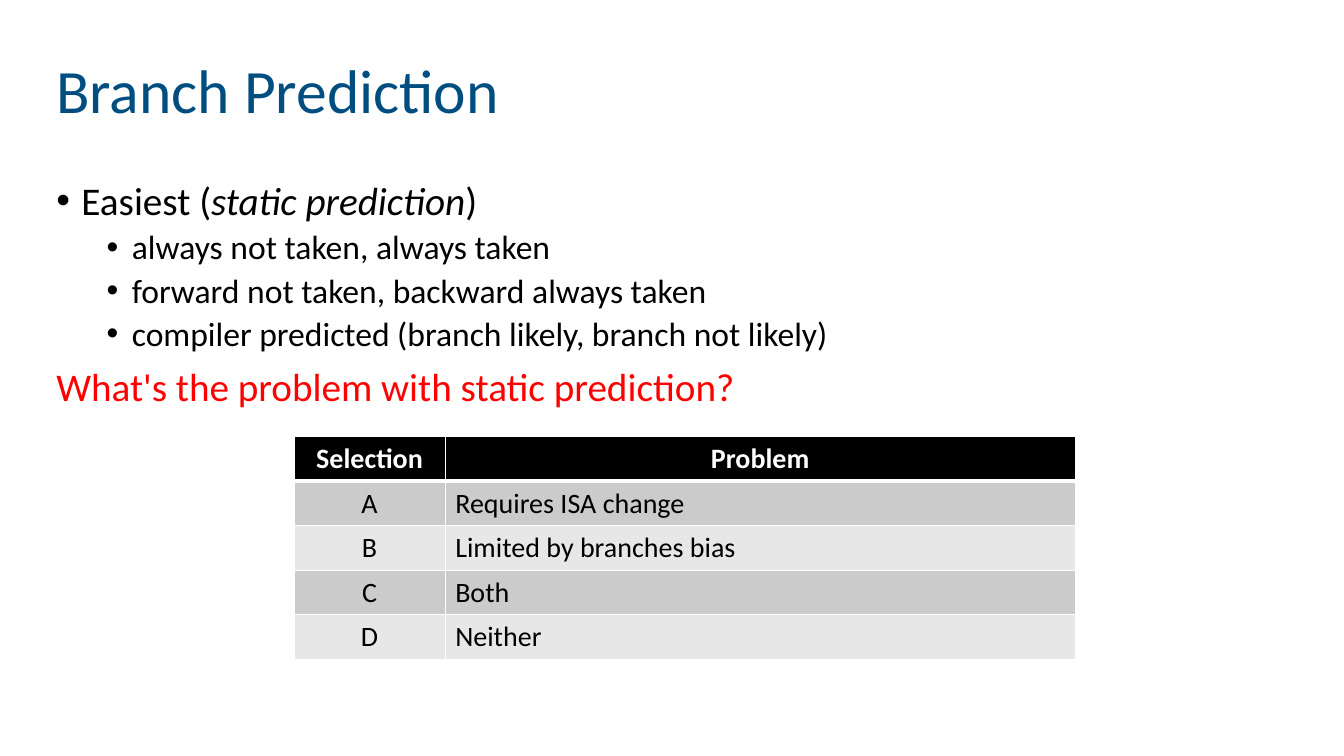
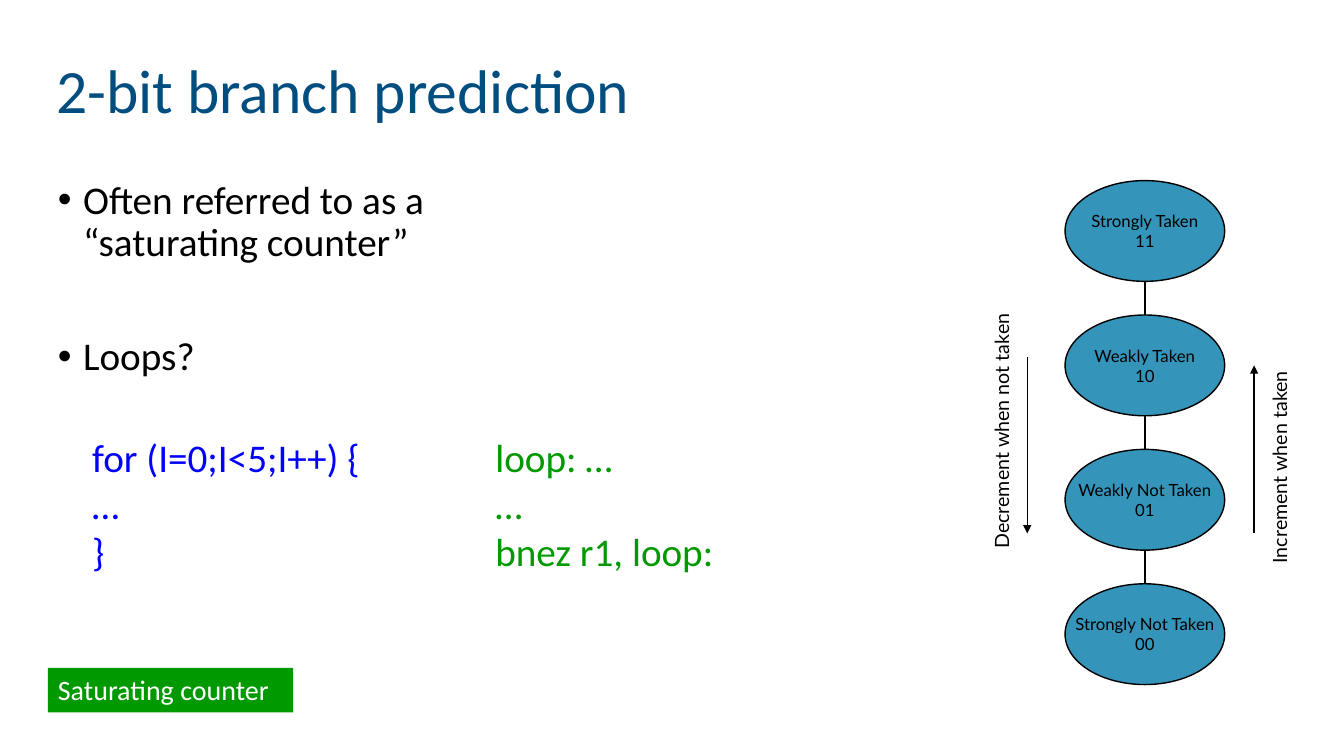
from dataclasses import dataclass

from lxml import etree
from pptx import Presentation
from pptx import util as u
from pptx.dml.color import RGBColor
from pptx.enum import dml, shapes, text
from pptx.oxml import ns

COLORS = {
    "title": "004D80", "ink": "000000", "paper": "FFFFFF", "question": "FF0000",
    "source": "0000FF", "assembly": "009900", "state": "3494BA",
    "odd_row": "CBCBCB", "even_row": "E7E7E7",
}
CELLS_PER_INCH = 12
COLUMNS, ROWS = 160, 90
BODY_FONT, DIAGRAM_FONT = "Calibri", "Lato"
LEFT, CENTER = text.PP_ALIGN.LEFT, text.PP_ALIGN.CENTER


@dataclass
class Box:
    """A region of the slide, in grid columns and rows."""
    left: float
    top: float
    width: float
    height: float

    def lengths(self):
        """Return left, top, width and height as slide lengths."""
        return [grid(n) for n in (self.left, self.top, self.width, self.height)]

    def inner(self, left, top, width, height):
        """Return a box placed relative to this one."""
        return Box(self.left + left, self.top + top, width, height)


def grid(count):
    """Turn a number of grid cells into a length."""
    return u.Inches(count / CELLS_PER_INCH)


def rgb(name):
    """Look up a named colour."""
    return RGBColor.from_string(COLORS[name])


def add_xml(parent, tag, **attributes):
    """Append a drawing element to a parent."""
    return etree.SubElement(parent, ns.qn(tag), {k: str(v) for k, v in attributes.items()})


def add_run(paragraph, words, size, color="ink", font=BODY_FONT, bold=False, italic=False):
    """Add one formatted run."""
    run = paragraph.add_run()
    run.text = words
    run.font.size = u.Pt(size)
    run.font.name = font
    run.font.bold = bold
    run.font.italic = italic
    run.font.color.rgb = rgb(color)


def paragraphs(frame, count):
    """Return the first paragraph and as many new ones as needed."""
    return [frame.paragraphs[0]] + [frame.add_paragraph() for _ in range(count - 1)]


def add_title(slide, words):
    """Fill the title placeholder in the shared style."""
    title = slide.shapes.title
    title.left, title.top, title.width, title.height = Box(5.5, 2.4, 151.5, 17.4).lengths()
    frame = title.text_frame
    frame.auto_size = text.MSO_AUTO_SIZE.NONE
    frame.vertical_anchor = text.MSO_ANCHOR.MIDDLE
    heading = frame.paragraphs[0]
    heading.alignment = LEFT
    heading.line_spacing = 0.9
    add_run(heading, words, 44, "title")


def style_item(item, level, bulleted, before):
    """Set spacing, indent and bullet of one list item."""
    item.level = level
    item.line_spacing = 0.9
    item.space_before = u.Pt(before)
    properties = item._p.get_or_add_pPr()
    indent = u.Inches(0.25) if bulleted else 0
    properties.set("marL", str(u.Inches(0.5 * level) + indent))
    properties.set("indent", str(-indent))
    if bulleted:
        add_xml(properties, "a:buFont", typeface="Arial")
        add_xml(properties, "a:buChar", char="•")
    else:
        add_xml(properties, "a:buNone")


def add_list(slide, box, items):
    """Fill the body placeholder; an item is level, bulleted, space before, runs."""
    body = slide.placeholders[1]
    body.left, body.top, body.width, body.height = box.lengths()
    frame = body.text_frame
    frame.auto_size = text.MSO_AUTO_SIZE.NONE
    for item, (level, bulleted, before, runs) in zip(paragraphs(frame, len(items)), items):
        style_item(item, level, bulleted, before)
        for words, style in runs:
            add_run(item, words, 24 if level else 28, **style)


def style_cell(cell, fill, is_header):
    """Give a table cell its borders and fill."""
    properties = cell._tc.get_or_add_tcPr()
    heavy = {True: "a:lnB", False: "a:lnT"}[is_header]
    for side in ("a:lnL", "a:lnR", "a:lnT", "a:lnB"):
        border = add_xml(properties, side, w=u.Pt(3 if side == heavy else 1))
        add_xml(add_xml(border, "a:solidFill"), "a:srgbClr", val=COLORS["paper"])
    cell.fill.solid()
    cell.fill.fore_color.rgb = rgb(fill)


def add_choices(slide, box, choices, widths):
    """Draw the answer table, with a header row and banded answers."""
    frame = slide.shapes.add_table(len(choices), len(widths), *box.lengths())
    table = frame.table
    for column, width in zip(table.columns, widths):
        column.width = grid(width)
    for r, choice in enumerate(choices):
        is_header = r == 0
        fill = "ink" if is_header else "odd_row" if r % 2 else "even_row"
        for c, words in enumerate(choice):
            cell = table.cell(r, c)
            style_cell(cell, fill, is_header)
            if r > 1:
                cell._tc.tcPr.find(ns.qn("a:lnT")).set("w", str(u.Pt(1)))
            answer = cell.text_frame.paragraphs[0]
            answer.alignment = CENTER if is_header or c == 0 else LEFT
            add_run(answer, words, 20, "paper" if is_header else "ink", bold=is_header)


def add_line(slide, start, end, arrow=False):
    """Draw a thin line between two grid points."""
    line = slide.shapes.add_connector(
        shapes.MSO_CONNECTOR.STRAIGHT, *[grid(n) for n in (*start, *end)])
    line.line.width = u.Pt(1)
    line.line.color.rgb = rgb("ink")
    properties = line.element.spPr
    if arrow:
        add_xml(properties.find(ns.qn("a:ln")), "a:tailEnd", type="triangle")
    add_xml(properties, "a:effectLst")


def add_filled(slide, kind, box, fill, outlined):
    """Draw a filled preset shape and return it."""
    shape = slide.shapes.add_shape(kind, *box.lengths())
    shape.shadow.inherit = False
    shape.fill.solid()
    shape.fill.fore_color.rgb = rgb(fill)
    if outlined:
        shape.line.color.rgb = rgb("ink")
        shape.line.width = u.Pt(1)
    else:
        shape.line.fill.background()
    shape.text_frame.word_wrap = False
    return shape


def add_state(slide, box, lines):
    """Draw one counter state as an ellipse."""
    state = add_filled(slide, shapes.MSO_SHAPE.OVAL, box, "state", True)
    state.text_frame.vertical_anchor = text.MSO_ANCHOR.MIDDLE
    for line, words in zip(paragraphs(state.text_frame, len(lines)), lines):
        line.alignment = CENTER
        add_run(line, words, 12, font=DIAGRAM_FONT)


def add_direction(slide, box, words, length, center, arrow_x, start, end):
    """Draw an arrow and its upright label inside the diagram box."""
    add_line(slide, (box.left + arrow_x, box.top + start),
             (box.left + arrow_x, box.top + end), arrow=True)
    x, y = center
    label = slide.shapes.add_textbox(*box.inner(x - length / 2, y - 2, length, 4).lengths())
    label.rotation = 270
    label.text_frame.word_wrap = False
    add_run(label.text_frame.paragraphs[0], words, 14, font=DIAGRAM_FONT)


def add_counter_diagram(slide, box, states):
    """Draw the chain of states with its two directions."""
    width, height = 19, 12
    axis = 19.3
    pitch = (box.height - height) / (len(states) - 1)
    x = box.left + axis
    add_line(slide, (x, box.top + height), (x, box.top + box.height - height))
    for i, lines in enumerate(states):
        add_state(slide, box.inner(axis - width / 2, i * pitch, width, height), lines)
    add_direction(slide, box, "Decrement when not taken", 30.4, (2.2, 29.8), 5.3, 21, 42)
    add_direction(slide, box, "Increment when taken", 25.7, (35.3, 33.9), 32.3, 42, 22)


def add_code(slide, box, lines):
    """Set source code and assembly side by side on a tab stop."""
    code = slide.shapes.add_textbox(*box.lengths())
    code.text_frame.word_wrap = True
    for line, (source, assembly) in zip(paragraphs(code.text_frame, len(lines)), lines):
        tabs = add_xml(line._p.get_or_add_pPr(), "a:tabLst")
        add_xml(tabs, "a:tab", pos=u.Inches(4), algn="l")
        add_run(line, source + "\t", 28, "source")
        add_run(line, assembly, 28, "assembly")


def add_tag(slide, box, words):
    """Draw the green tag."""
    tag = add_filled(slide, shapes.MSO_SHAPE.RECTANGLE, box, "assembly", False)
    tag.text_frame.vertical_anchor = text.MSO_ANCHOR.TOP
    tag.text_frame.paragraphs[0].alignment = LEFT
    add_run(tag.text_frame.paragraphs[0], words, 20, "paper")


def new_slide(deck, title):
    """Add a titled slide on a white background."""
    slide = deck.slides.add_slide(deck.slide_layouts[1])
    slide.background.fill.solid()
    slide.background.fill.fore_color.rgb = rgb("paper")
    add_title(slide, title)
    return slide


def static_prediction_slide(deck):
    """Build the slide on static prediction."""
    slide = new_slide(deck, "Branch Prediction")
    schemes = ["always not taken, always taken",
               "forward not taken, backward always taken",
               "compiler predicted (branch likely, branch not likely)"]
    easiest = [("Easiest (", {}), ("static prediction", {"italic": True}), (")", {})]
    question = [("What's the problem with static prediction?", {"color": "question"})]
    add_list(slide, Box(5.5, 21, 151.5, 60), [
        (0, True, 10, easiest),
        *[(1, True, 5, [(scheme, {})]) for scheme in schemes],
        (0, False, 10, question),
    ])
    add_choices(slide, Box(35, 52, 93, 26.5), [
        ("Selection", "Problem"),
        ("A", "Requires ISA change"),
        ("B", "Limited by branches bias"),
        ("C", "Both"),
        ("D", "Neither"),
    ], (18, 75))


def two_bit_slide(deck):
    """Build the slide on the two-bit counter."""
    slide = new_slide(deck, "2-bit branch prediction")
    add_list(slide, Box(5.7, 20.9, 53, 54), [
        (0, True, 10, [("Often referred to as a “saturating counter”", {})]),
        (0, True, 51, [("Loops?", {})]),
    ])
    add_counter_diagram(slide, Box(117, 21.5, 38, 60), [
        ("Strongly Taken", "11"),
        ("Weakly Taken", "10"),
        ("Weakly Not Taken", "01"),
        ("Strongly Not Taken", "00"),
    ])
    add_tag(slide, Box(5.7, 79.5, 29.2, 5.3), "Saturating counter")
    add_code(slide, Box(9.8, 51, 93.4, 18), [
        ("for (I=0;I<5;I++) {", "loop: …"),
        ("…", "…"),
        ("}", "bnez r1, loop:"),
    ])


def main():
    """Build and save the presentation."""
    deck = Presentation()
    deck.slide_width, deck.slide_height = grid(COLUMNS), grid(ROWS)
    static_prediction_slide(deck)
    two_bit_slide(deck)
    deck.save("out.pptx")


if __name__ == "__main__":
    main()
